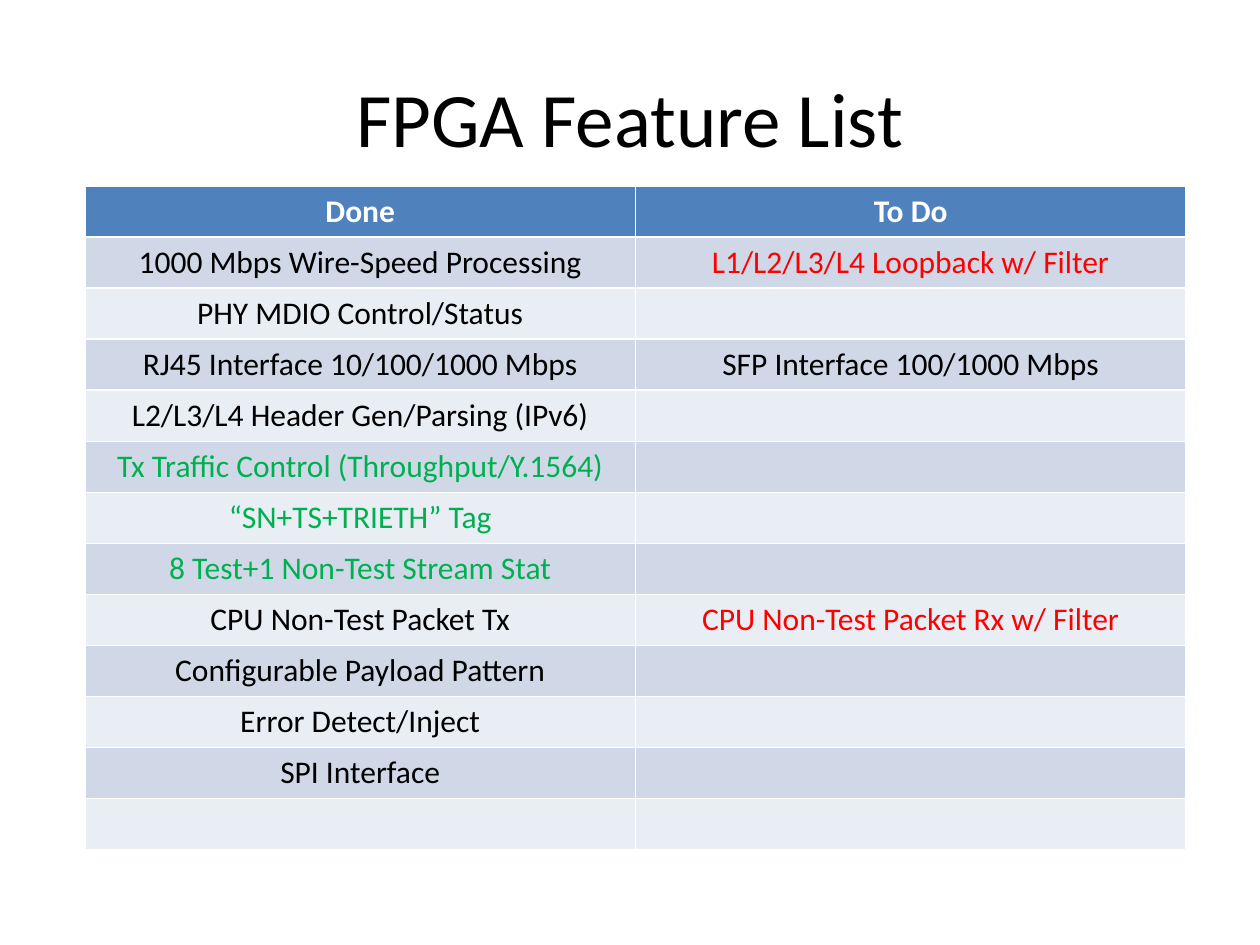
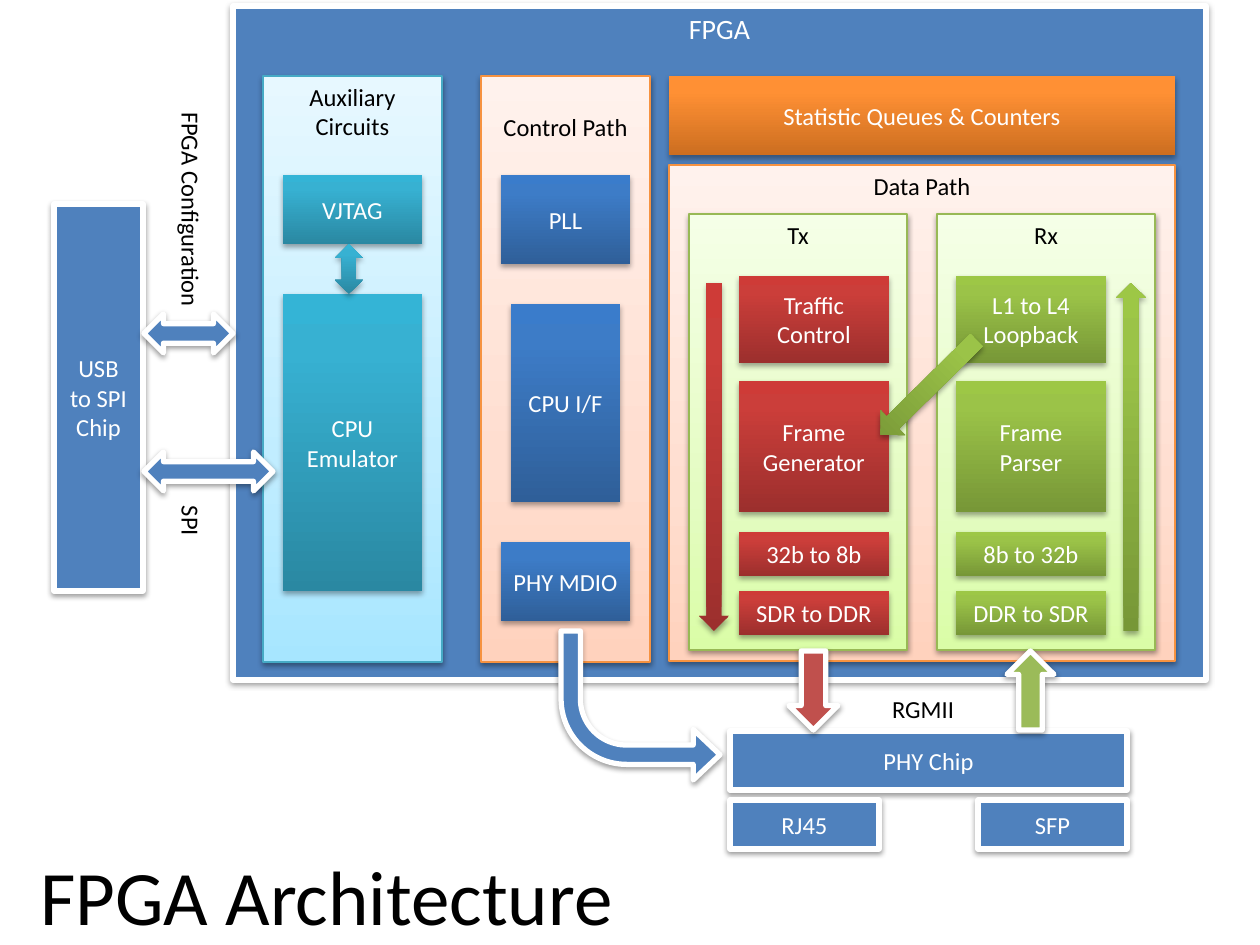
from dataclasses import dataclass

from pptx import Presentation
from pptx.dml.color import RGBColor
from pptx.enum.shapes import MSO_SHAPE
from pptx.enum.text import MSO_ANCHOR, PP_ALIGN
from pptx.oxml import parse_xml
from pptx.oxml.ns import nsdecls, qn
from pptx.util import Emu, Pt

PX_PER_INCH = 126
FONT = "Calibri"

BLACK = RGBColor(0x00, 0x00, 0x00)
WHITE = RGBColor(0xFF, 0xFF, 0xFF)
RED = RGBColor(0xFF, 0x00, 0x00)
GREEN = RGBColor(0x00, 0xB0, 0x50)
BLUE = RGBColor(0x4F, 0x81, 0xBD)
BRICK = RGBColor(0xC0, 0x50, 0x4D)
OLIVE = RGBColor(0x9B, 0xBB, 0x59)
AQUA_EDGE = RGBColor(0x46, 0xAA, 0xC5)
ORANGE_EDGE = RGBColor(0xF6, 0x92, 0x40)
LIME_EDGE = RGBColor(0x98, 0xB9, 0x55)
ROW_FILLS = (RGBColor(0xE9, 0xED, 0xF4), RGBColor(0xD0, 0xD8, 0xE8))

# Gradient colours run from the bottom edge to the top edge.
AQUA_PALE = (RGBColor(0xA7, 0xE6, 0xFF), RGBColor(0xC1, 0xED, 0xFF), RGBColor(0xE7, 0xF8, 0xFF))
PEACH_PALE = (RGBColor(0xFF, 0xD2, 0xBD), RGBColor(0xFF, 0xDE, 0xD0), RGBColor(0xFF, 0xF2, 0xED))
LIME_PALE = (RGBColor(0xDA, 0xFD, 0xA7), RGBColor(0xE4, 0xFC, 0xC2), RGBColor(0xF5, 0xFF, 0xE7))
AQUA_DEEP = (RGBColor(0x2A, 0x88, 0xA2), RGBColor(0x37, 0xB1, 0xD2), RGBColor(0x34, 0xB4, 0xD6))
RED_DEEP = (RGBColor(0x9C, 0x2F, 0x2D), RGBColor(0xCB, 0x3E, 0x3A), RGBColor(0xCE, 0x3B, 0x37))
LIME_DEEP = (RGBColor(0x77, 0x97, 0x37), RGBColor(0x9B, 0xC3, 0x48), RGBColor(0x9D, 0xC7, 0x46))
BLUE_DEEP = (RGBColor(0x2F, 0x5F, 0x99), RGBColor(0x3D, 0x7C, 0xC7), RGBColor(0x3A, 0x7C, 0xCB))
ORANGE_DEEP = (RGBColor(0xCC, 0x6E, 0x20), RGBColor(0xFF, 0x90, 0x34), RGBColor(0xFF, 0x91, 0x36))

FEATURES = [
    ("1000 Mbps Wire-Speed Processing", BLACK, "L1/L2/L3/L4 Loopback w/ Filter", RED),
    ("PHY MDIO Control/Status", BLACK, "", BLACK),
    ("RJ45 Interface 10/100/1000 Mbps", BLACK, "SFP Interface 100/1000 Mbps", BLACK),
    ("L2/L3/L4 Header Gen/Parsing (IPv6)", BLACK, "", BLACK),
    ("Tx Traffic Control (Throughput/Y.1564)", GREEN, "", BLACK),
    ("“SN+TS+TRIETH” Tag", GREEN, "", BLACK),
    ("8 Test+1 Non-Test Stream Stat", GREEN, "", BLACK),
    ("CPU Non-Test Packet Tx", BLACK, "CPU Non-Test Packet Rx w/ Filter", RED),
    ("Configurable Payload Pattern", BLACK, "", BLACK),
    ("Error Detect/Inject", BLACK, "", BLACK),
    ("SPI Interface", BLACK, "", BLACK),
    ("", BLACK, "", BLACK),
]


def px(length):
    return Emu(round(length * 914400 / PX_PER_INCH))


@dataclass
class Box:
    left: int
    top: int
    width: int
    height: int

    def inside(self, left, top, width, height):
        return Box(self.left + left, self.top + top, width, height)

    def emu(self):
        return [px(side) for side in (self.left, self.top, self.width, self.height)]


@dataclass
class Look:
    """Fill, outline, shadow and text colour shared by a family of shapes."""
    fill: object
    edge: object = None
    edge_width: float = 0.75
    middle_stop: int = 35
    text: RGBColor = WHITE
    shadow_alpha: int = 38
    shadow_distance: int = 20000


def solid(color):
    return Look(color, edge=WHITE, edge_width=3)


def panel(colors, edge):
    return Look(colors, edge=edge, text=BLACK)


def glossy(colors):
    return Look(colors, middle_stop=80, shadow_alpha=35, shadow_distance=23000)


SOLID_BLUE = solid(BLUE)
AQUA_PANEL = panel(AQUA_PALE, AQUA_EDGE)
PEACH_PANEL = panel(PEACH_PALE, ORANGE_EDGE)
LIME_PANEL = panel(LIME_PALE, LIME_EDGE)
AQUA, CRIMSON, LIME = glossy(AQUA_DEEP), glossy(RED_DEEP), glossy(LIME_DEEP)
NAVY, ORANGE = glossy(BLUE_DEEP), glossy(ORANGE_DEEP)


def write(frame, text, size=14, color=BLACK, bold=False, align=PP_ALIGN.CENTER,
          anchor=MSO_ANCHOR.TOP, side=13, top=6):
    frame.word_wrap = True
    frame.vertical_anchor = anchor
    frame.margin_left = frame.margin_right = px(side)
    frame.margin_top, frame.margin_bottom = px(top), px(6)
    para = frame.paragraphs[0]
    para.alignment = align
    span = para.add_run()
    span.text = text
    span.font.name, span.font.size, span.font.bold = FONT, Pt(size), bold
    span.font.color.rgb = color


def add_text(page, box, text, vertical=False, **style):
    frame = page.shapes.add_textbox(*box.emu()).text_frame
    write(frame, text, **style)
    if vertical:
        frame._txBody.bodyPr.set("vert", "eaVert")


def add_title(page, box, text, anchor=MSO_ANCHOR.TOP):
    add_text(page, box, text, size=44, anchor=anchor)


def paint_gradient(shape, look):
    shape.fill.gradient()
    shape.fill.gradient_angle = 90
    stops = shape._element.spPr.find(qn("a:gradFill")).find(qn("a:gsLst"))
    for stop in list(stops):
        stops.remove(stop)
    for position, color in zip((0, look.middle_stop, 100), look.fill):
        stops.append(parse_xml(f'<a:gs {nsdecls("a")} pos="{position * 1000}">'
                               f'<a:srgbClr val="{color}"/></a:gs>'))


def cast_shadow(shape, look):
    shape.shadow.inherit = False
    effects = shape._element.spPr.find(qn("a:effectLst"))
    effects.append(parse_xml(
        f'<a:outerShdw {nsdecls("a")} blurRad="40000" dist="{look.shadow_distance}" '
        f'dir="5400000" rotWithShape="0"><a:srgbClr val="000000">'
        f'<a:alpha val="{look.shadow_alpha * 1000}"/></a:srgbClr></a:outerShdw>'))


def add_shape(page, box, look, kind=MSO_SHAPE.RECTANGLE, text="", **style):
    shape = page.shapes.add_shape(kind, *box.emu())
    if isinstance(look.fill, RGBColor):
        shape.fill.solid()
        shape.fill.fore_color.rgb = look.fill
    else:
        paint_gradient(shape, look)
    if look.edge is None:
        shape.line.fill.background()
    else:
        shape.line.color.rgb = look.edge
        shape.line.width = Pt(look.edge_width)
    cast_shadow(shape, look)
    if text:
        write(shape.text_frame, text, color=look.text, **style)
    return shape


def add_block(page, box, look, text, **style):
    add_shape(page, box, look, text=text, anchor=MSO_ANCHOR.MIDDLE, **style)


def fill_cell(cell, text, fill, **style):
    cell.fill.solid()
    cell.fill.fore_color.rgb = fill
    if text:
        write(cell.text_frame, text, size=18, **style)


def feature_table(page, box):
    rows = len(FEATURES) + 1
    table = page.shapes.add_table(rows, 2, *box.emu()).table
    for row in table.rows:
        row.height = px(box.height / rows)
    for column, heading in enumerate(("Done", "To Do")):
        fill_cell(table.cell(0, column), heading, BLUE, color=WHITE, bold=True)
    for row, (done, done_color, to_do, to_do_color) in enumerate(FEATURES, start=1):
        fill = ROW_FILLS[row % 2]
        fill_cell(table.cell(row, 0), done, fill, color=done_color)
        fill_cell(table.cell(row, 1), to_do, fill, color=to_do_color)


def auxiliary_circuits(page, box):
    add_shape(page, box, AQUA_PANEL, text="Auxiliary Circuits")
    add_block(page, box.inside(20, 99, 139, 69), AQUA, "VJTAG")
    add_block(page, box.inside(20, 218, 139, 297), AQUA, "CPU Emulator")
    add_shape(page, box.inside(72, 168, 28, 50), AQUA, MSO_SHAPE.UP_DOWN_ARROW)


def control_path(page, box):
    add_shape(page, box, PEACH_PANEL, text="Control Path", top=36)
    for text, left, top, width, height in (("PLL", 20, 99, 129, 89),
                                           ("CPU I/F", 30, 228, 109, 198),
                                           ("PHY MDIO", 20, 466, 129, 79)):
        add_block(page, box.inside(left, top, width, height), NAVY, text, side=8)


def lane(page, box, name, look, stages, stage_left, arrow, arrow_left):
    add_shape(page, box, LIME_PANEL, text=name)
    spans = ((62, 87), (167, 131), (318, 44), (377, 44))
    for text, (top, height) in zip(stages, spans):
        add_block(page, box.inside(stage_left, top, 150, height), look, text)
    add_shape(page, box.inside(arrow_left, 69, 30, 348), look, arrow)


def data_path(page, box):
    add_shape(page, box, PEACH_PANEL, text="Data Path")
    lane(page, box.inside(20, 49, 218, 436), "Tx", CRIMSON,
         ("Traffic Control", "Frame Generator", "32b to 8b", "SDR to DDR"),
         50, MSO_SHAPE.DOWN_ARROW, 10)
    lane(page, box.inside(268, 49, 218, 436), "Rx", LIME,
         ("L1 to L4 Loopback", "Frame Parser", "8b to 32b", "DDR to SDR"),
         19, MSO_SHAPE.UP_ARROW, 179)
    loopback = add_shape(page, box.inside(242, 155, 35, 135), LIME, MSO_SHAPE.DOWN_ARROW)
    loopback.rotation = 45.4


def fpga(page, box):
    add_shape(page, box, SOLID_BLUE, text="FPGA", size=16)
    auxiliary_circuits(page, box.inside(30, 70, 179, 586))
    control_path(page, box.inside(248, 70, 169, 586))
    add_block(page, box.inside(436, 70, 506, 79), ORANGE, "Statistic Queues & Counters")
    data_path(page, box.inside(436, 159, 506, 496))


def usb_side(page, box):
    """USB chip with its two links into the FPGA."""
    add_block(page, box, SOLID_BLUE, "USB to SPI Chip")
    for top, width in ((110, 89), (248, 129)):
        add_shape(page, box.inside(90, top, width, 39), SOLID_BLUE,
                  MSO_SHAPE.LEFT_RIGHT_ARROW)
    add_text(page, box.inside(110, -98, 55, 208), "FPGA Configuration",
             vertical=True, align=PP_ALIGN.LEFT)
    add_text(page, box.inside(110, 296, 55, 64), "SPI", vertical=True)


def phy_side(page, box):
    """PHY chip, its ports and its links to the FPGA above."""
    add_block(page, box.inside(0, 0, box.width, 59), SOLID_BLUE, "PHY Chip")
    for text, left in (("RJ45", 0), ("SFP", 248)):
        add_block(page, box.inside(left, 69, 149, 49), SOLID_BLUE, text)
    add_text(page, box.inside(138, -43, 110, 43), "RGMII")
    add_shape(page, box.inside(59, -80, 49, 79), solid(BRICK), MSO_SHAPE.DOWN_ARROW)
    add_shape(page, box.inside(277, -80, 47, 79), solid(OLIVE), MSO_SHAPE.UP_ARROW)
    bend = add_shape(page, box.inside(-169, -100, 159, 149), SOLID_BLUE, MSO_SHAPE.BENT_ARROW)
    for index, value in enumerate((0.13, 0.17, 0.18, 0.44)):
        bend.adjustments[index] = value
    bend.rotation = 180
    bend._element.spPr.xfrm.set("flipH", "1")


def feature_page(page):
    add_title(page, Box(63, 38, 1134, 158), "FPGA Feature List", anchor=MSO_ANCHOR.MIDDLE)
    feature_table(page, Box(85, 186, 1101, 664))


def architecture_page(page):
    fpga(page, Box(233, 6, 973, 674))
    usb_side(page, Box(54, 204, 89, 387))
    phy_side(page, Box(730, 731, 397, 118))
    add_title(page, Box(0, 843, 654, 102), "FPGA Architecture")


def main():
    deck = Presentation()
    deck.slide_width, deck.slide_height = px(1260), px(945)
    for build in (feature_page, architecture_page):
        build(deck.slides.add_slide(deck.slide_layouts[6]))
    deck.save("out.pptx")


if __name__ == "__main__":
    main()
